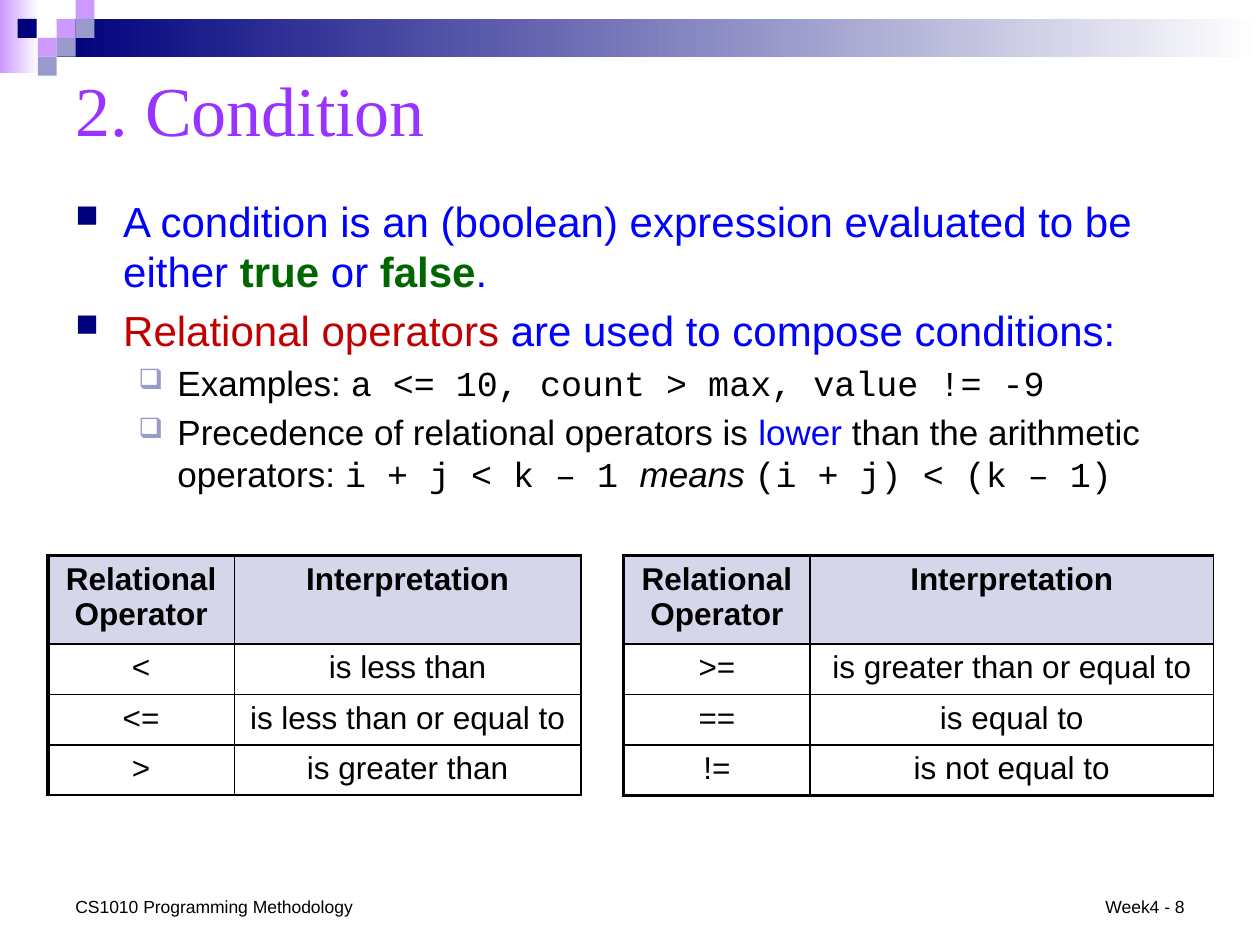
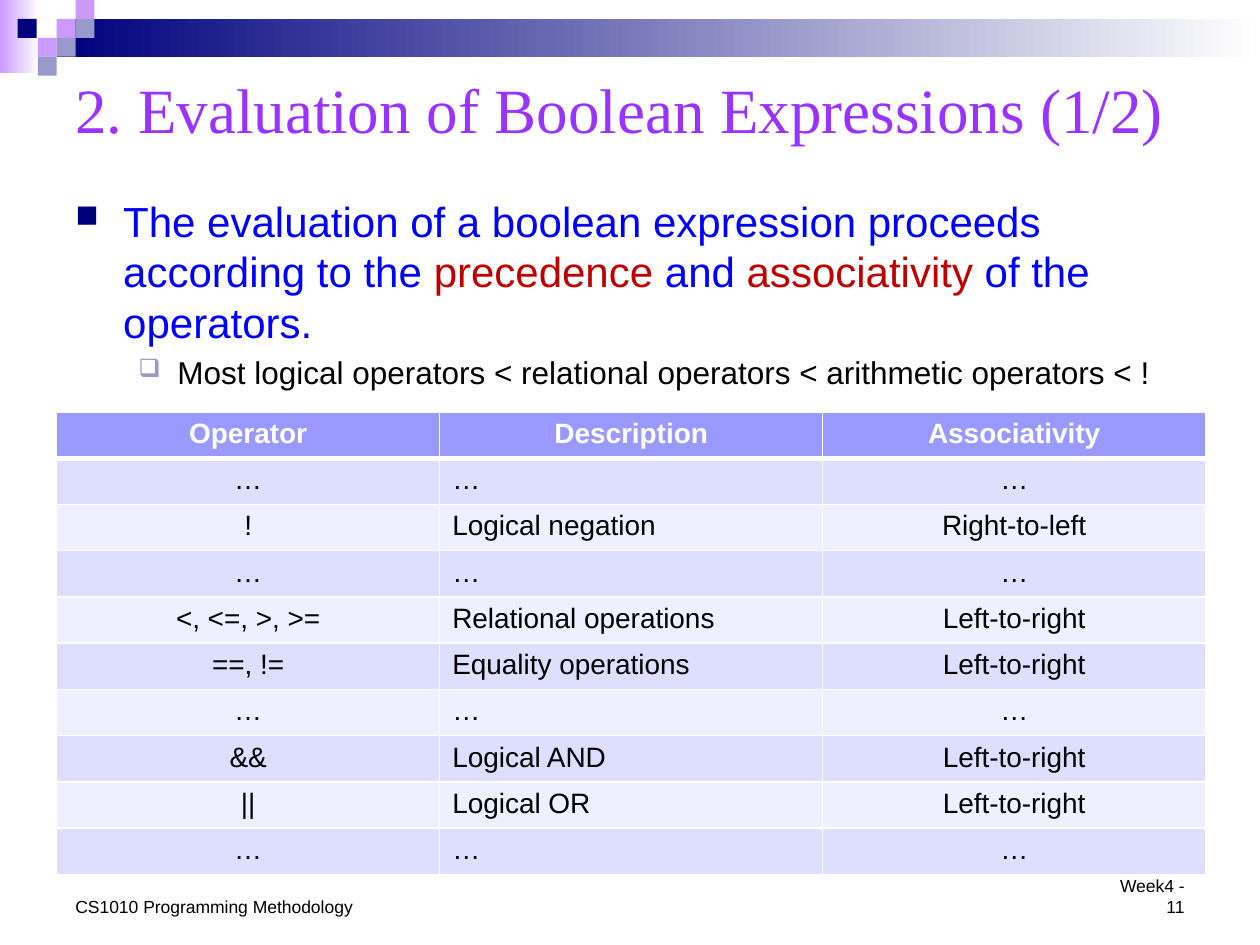
"""Build two lecture slides on conditions and boolean expressions."""
from dataclasses import dataclass

import lxml.etree
import pptx
import pptx.dml.color
import pptx.enum.shapes
import pptx.enum.text
import pptx.oxml.ns
import pptx.util

Inches = pptx.util.Inches
Pt = pptx.util.Pt
Align = pptx.enum.text.PP_ALIGN
Anchor = pptx.enum.text.MSO_ANCHOR

NAVY, LILAC, GREY_BLUE, PURPLE = "00007D", "CC99FF", "9999CC", "9933FF"
BLUE, RED, GREEN = "0000FF", "C00000", "006600"
BLACK, WHITE = "000000", "FFFFFF"
SANS, SERIF, CODE = "Arial", "Times New Roman", "Courier New"
TILE = 0.15


@dataclass(frozen=True)
class Span:
    text: str
    colour: str | None = None
    face: str | None = None
    bold: bool | None = None
    italic: bool | None = None


@dataclass(frozen=True)
class Level:
    bullet: str
    bullet_colour: str
    bullet_percent: int
    margin: float
    hanging: float
    colour: str


@dataclass(frozen=True)
class Item:
    level: Level
    size: int
    spans: tuple[Span, ...]


@dataclass(frozen=True)
class Tile:
    left: float
    top: float
    colour: str


@dataclass(frozen=True)
class OperatorTable:
    left: float
    widths: tuple[float, float]
    header_height: float
    row_height: float
    bottom_line: float
    rows: tuple[tuple[str, str], ...]


MAIN = Level("■", NAVY, 75, 0.38, 0.38, BLUE)
SUB = Level("❑", GREY_BLUE, 80, 0.81, 0.31, BLACK)

TILES = (
    Tile(0.45, 0.15, LILAC), Tile(0.6, 0, LILAC), Tile(0.6, 0.15, GREY_BLUE),
    Tile(0.3, 0.3, LILAC), Tile(0.14, 0.15, NAVY), Tile(0.45, 0.3, GREY_BLUE),
    Tile(0.3, 0.45, GREY_BLUE),
)

CONDITION_ITEMS = (
    Item(MAIN, 24, (
        Span("A condition is an (boolean) expression evaluated to be either "),
        Span("true", GREEN, bold=True), Span(" or "),
        Span("false", GREEN, bold=True), Span("."))),
    Item(MAIN, 24, (
        Span("Relational operators ", RED),
        Span("are used to compose conditions:"))),
    Item(SUB, 20, (
        Span("Examples: "),
        Span("a <= 10, count > max, value != -9", face=CODE))),
    Item(SUB, 20, (
        Span("Precedence of relational operators is "), Span("lower", BLUE),
        Span(" than the arithmetic operators: "),
        Span("i + j < k – 1 ", face=CODE), Span("means ", italic=True),
        Span("(i + j) < (k – 1)", face=CODE))),
)

EVALUATION_ITEMS = (
    Item(MAIN, 24, (
        Span("The evaluation of a boolean expression proceeds according to the "),
        Span("precedence", RED), Span(" and "), Span("associativity", RED),
        Span(" of the operators."))),
    Item(SUB, 18, (
        Span("Most logical operators < relational operators"
             " < arithmetic operators < !"),)),
)

OPERATOR_TABLES = (
    OperatorTable(0.38, (1.48, 2.75), 0.66, 0.38, 1, (
        ("<", "is less than"), ("<=", "is less than or equal to"),
        (">", "is greater than"))),
    OperatorTable(4.95, (1.48, 3.2), 0.7, 0.4, 2.25, (
        (">=", "is greater than or equal to"), ("==", "is equal to"),
        ("!=", "is not equal to"))),
)

ELLIPSIS_ROW = ("…", "…", "…")
PRECEDENCE_ROWS = (
    ("Operator", "Description", "Associativity"),
    ELLIPSIS_ROW,
    ("!", "Logical negation", "Right-to-left"),
    ELLIPSIS_ROW,
    ("<, <=, >, >=", "Relational operations", "Left-to-right"),
    ("==, !=", "Equality operations", "Left-to-right"),
    ELLIPSIS_ROW,
    ("&&", "Logical AND", "Left-to-right"),
    ("||", "Logical OR", "Left-to-right"),
    ELLIPSIS_ROW,
)


def rgb(colour: str) -> pptx.dml.color.RGBColor:
    return pptx.dml.color.RGBColor.from_string(colour)


def add_element(parent, tag: str, **attributes):
    element = lxml.etree.SubElement(parent, pptx.oxml.ns.qn(tag))
    for name, value in attributes.items():
        element.set(name, str(value))
    return element


def style_font(font, size: float, face: str, colour: str, bold: bool = False) -> None:
    font.size, font.name, font.bold = Pt(size), face, bold
    font.color.rgb = rgb(colour)


def add_rectangle(page, left: float, top: float, width: float, height: float):
    shape = page.shapes.add_shape(
        pptx.enum.shapes.MSO_SHAPE.RECTANGLE,
        Inches(left), Inches(top), Inches(width), Inches(height))
    shape.shadow.inherit = False
    shape.line.fill.background()
    return shape


def add_fade(page, left: float, top: float, width: float, height: float, colour: str) -> None:
    fill = add_rectangle(page, left, top, width, height).fill
    fill.gradient()
    fill.gradient_angle = 0
    for stop, shade in zip(fill.gradient_stops, (colour, WHITE)):
        stop.color.rgb = rgb(shade)


def add_box(page, left: float, top: float, width: float, height: float, anchor=Anchor.TOP):
    box = page.shapes.add_textbox(Inches(left), Inches(top), Inches(width), Inches(height))
    box.text_frame.word_wrap = True
    box.text_frame.vertical_anchor = anchor
    return box.text_frame


def add_line(page, place: tuple[float, float, float, float], text: str, size: float,
             face: str, colour: str, anchor, alignment=Align.LEFT) -> None:
    para = add_box(page, *place, anchor).paragraphs[0]
    para.text, para.alignment = text, alignment
    style_font(para.font, size, face, colour)


def add_items(page, height: float, items: tuple[Item, ...]) -> None:
    frame = add_box(page, 0.5, 1.5, 9, height)
    for index, item in enumerate(items):
        para = frame.add_paragraph() if index else frame.paragraphs[0]
        level = item.level
        para.space_before = Pt(item.size * 0.2)
        properties = para._p.get_or_add_pPr()
        properties.set("marL", str(Inches(level.margin)))
        properties.set("indent", str(-Inches(level.hanging)))
        add_element(add_element(properties, "a:buClr"), "a:srgbClr", val=level.bullet_colour)
        add_element(properties, "a:buSzPct", val=level.bullet_percent * 1000)
        add_element(properties, "a:buChar", char=level.bullet)
        para.font.size = Pt(item.size)
        for span in item.spans:
            run = para.add_run()
            run.text = span.text
            style_font(run.font, item.size, span.face or SANS,
                       span.colour or level.colour, span.bold or False)
            run.font.italic = span.italic


def add_grid(page, left: float, top: float, widths: tuple[float, ...],
             heights: tuple[float, ...]):
    table = page.shapes.add_table(
        len(heights), len(widths), Inches(left), Inches(top),
        Inches(sum(widths)), Inches(sum(heights))).table
    table.first_row = table.horz_banding = False
    for column, width in zip(table.columns, widths):
        column.width = Inches(width)
    for row, height in zip(table.rows, heights):
        row.height = Inches(height)
    return table


def fill_cell(cell, text: str, size: float, colour: str, bold: bool, fill: str | None,
              line_colour: str, lines: dict[str, float], alignment=Align.CENTER) -> None:
    properties = cell._tc.get_or_add_tcPr()
    for side in "LRTB":
        line = add_element(properties, f"a:ln{side}", w=Pt(lines.get(side, 1)))
        add_element(add_element(line, "a:solidFill"), "a:srgbClr", val=line_colour)
    if fill:
        cell.fill.solid()
        cell.fill.fore_color.rgb = rgb(fill)
    else:
        cell.fill.background()
    para = cell.text_frame.paragraphs[0]
    para.text, para.alignment = text, alignment
    style_font(para.font, size, SANS, colour, bold)


def add_operator_table(page, content: OperatorTable) -> None:
    rows = (("Relational Operator", "Interpretation"), *content.rows)
    heights = (content.header_height, *[content.row_height] * len(content.rows))
    table = add_grid(page, content.left, 4.41, content.widths, heights)
    for row, texts in enumerate(rows):
        header = row == 0
        for column, text in enumerate(texts):
            lines = {"L": 1 if column else 2.25, "T": 2.25 if header else 1,
                     "B": content.bottom_line if row == len(rows) - 1 else 1}
            fill_cell(table.cell(row, column), text, 18, BLACK, header,
                      "D6D6EB" if header else None, BLACK, lines)


def add_precedence_table(page) -> None:
    table = add_grid(page, 0.45, 3.27, (3.04,) * 3, (0.367,) * len(PRECEDENCE_ROWS))
    for row, texts in enumerate(PRECEDENCE_ROWS):
        header = row == 0
        fill = "9999FF" if header else ("EFEFFF", "DEDEFF")[row % 2]
        lines = {"T": 3 if row == 1 else 1, "B": 3 if header else 1}
        for column, text in enumerate(texts):
            alignment = Align.LEFT if column == 1 and not header else Align.CENTER
            fill_cell(table.cell(row, column), text, 16, WHITE if header else BLACK,
                      header, fill, WHITE, lines, alignment)


def add_page(deck, title: str, title_size: int, number: int):
    page = deck.slides.add_slide(deck.slide_layouts[6])
    add_fade(page, 0, 0, 0.31, 0.58, LILAC)
    add_fade(page, 0.45, 0.15, 9.55, 0.3, NAVY)
    for tile in TILES:
        fill = add_rectangle(page, tile.left, tile.top, TILE, TILE).fill
        fill.solid()
        fill.fore_color.rgb = rgb(tile.colour)
    add_line(page, (0.5, 0.42, 9, 0.88), title, title_size, SERIF, PURPLE, Anchor.MIDDLE)
    add_line(page, (0.5, 7.06, 2.42, 0.27), "CS1010 Programming Methodology",
             10, SANS, BLACK, Anchor.BOTTOM)
    add_line(page, (8.66, 7.06, 0.84, 0.27), f"Week4 - {number}",
             10, SANS, BLACK, Anchor.BOTTOM, Align.RIGHT)
    return page


def main() -> None:
    deck = pptx.Presentation()
    deck.slide_width, deck.slide_height = Inches(10), Inches(7.5)

    condition = add_page(deck, "2. Condition", 40, 8)
    add_items(condition, 2.54, CONDITION_ITEMS)
    for content in OPERATOR_TABLES:
        add_operator_table(condition, content)

    evaluation = add_page(deck, "2. Evaluation of Boolean Expressions (1/2)", 36, 11)
    add_items(evaluation, 1.68, EVALUATION_ITEMS)
    add_precedence_table(evaluation)

    deck.save("out.pptx")


main()
